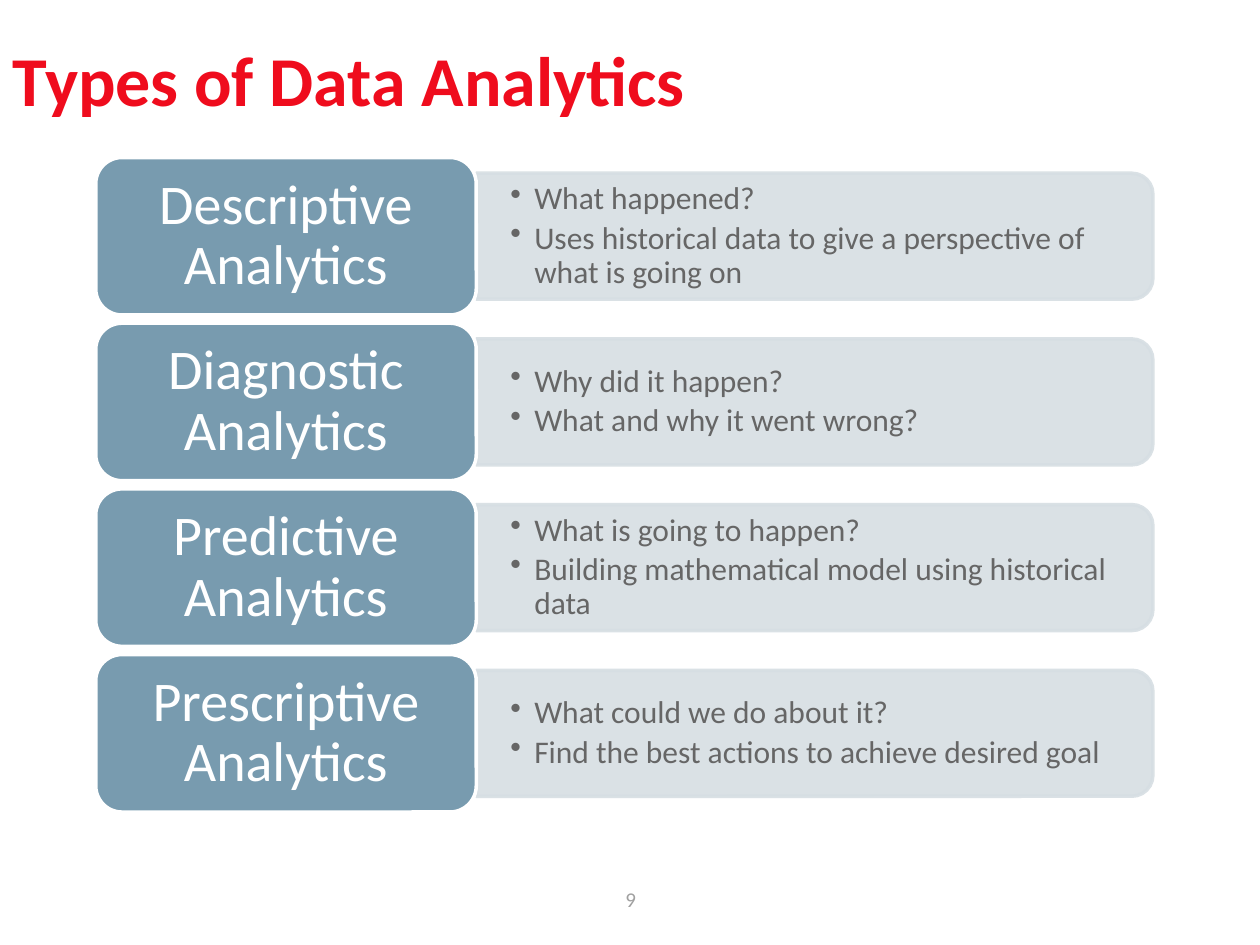
from lxml import etree
from pptx import Presentation, util as u
from pptx.dml.color import RGBColor
from pptx.enum import shapes, text
from pptx.oxml.ns import qn

TITLE = "Types of Data Analytics"
PAGE_NUMBER = "9"
ANALYTICS = [
    ("Descriptive Analytics",
     ["What happened?", "Uses historical data to give a perspective of what is going on"]),
    ("Diagnostic Analytics",
     ["Why did it happen?", "What and why it went wrong?"]),
    ("Predictive Analytics",
     ["What is going to happen?", "Building mathematical model using historical data"]),
    ("Prescriptive Analytics",
     ["What could we do about it?", "Find the best actions to achieve desired goal"]),
]
RED, GREY, DARK, WHITE = "EF0C1D", "A0A0A0", "666666", "FFFFFF"
BLUE, PALE = "789BAF", "D6DEE3"
LEFT, TOP, LABEL_WIDTH, ROW_HEIGHT, GAP = 0.76, 1.25, 3.02, 1.25, 0.065
PANEL_WIDTH, PANEL_HEIGHT = 5.37, 1.0
TEXT_WIDTH, TEXT_HEIGHT = 5.32, 0.9


def color(target, value):
    target.rgb = RGBColor.from_string(value)


def write(box, lines, size, value, align, insets=(0.1, 0.05), bold=False, spacing=None, after=0):
    frame = box.text_frame
    frame.word_wrap = True
    frame.vertical_anchor = text.MSO_ANCHOR.MIDDLE
    frame.margin_left = frame.margin_right = u.Inches(insets[0])
    frame.margin_top = frame.margin_bottom = u.Inches(insets[1])
    frame.text = "\n".join(lines)
    for para in frame.paragraphs:
        para.alignment = align
        para.line_spacing = spacing
        para.space_after = u.Pt(after)
        for span in para.runs:
            span.font.name, span.font.size, span.font.bold = "Calibri", u.Pt(size), bold
            color(span.font.color, value)


def add_bullets(box):
    for para in box.text_frame.paragraphs:
        props = para._p.get_or_add_pPr()
        props.set("marL", str(u.Inches(0.19)))
        props.set("indent", str(u.Inches(-0.19)))
        etree.SubElement(props, qn("a:buChar")).set("char", "•")


def add_block(page, kind, area, fill, line, opacity=None):
    block = page.shapes.add_shape(kind, *map(u.Inches, area))
    block.shadow.inherit = False
    block.fill.solid()
    color(block.fill.fore_color, fill)
    color(block.line.color, line)
    block.line.width = u.Pt(2)
    if opacity:
        for tint in block._element.spPr.iter(qn("a:srgbClr")):
            etree.SubElement(tint, qn("a:alpha")).set("val", str(opacity * 1000))
    return block


def add_row(page, top, label, answers):
    middle = top + ROW_HEIGHT / 2
    panel_left = LEFT + LABEL_WIDTH
    panel = add_block(
        page, shapes.MSO_SHAPE.ROUND_2_SAME_RECTANGLE,
        (panel_left + (PANEL_WIDTH - PANEL_HEIGHT) / 2, middle - PANEL_WIDTH / 2,
         PANEL_HEIGHT, PANEL_WIDTH), PALE, PALE, 90)
    panel.rotation = 90
    area = (panel_left, middle - TEXT_HEIGHT / 2, TEXT_WIDTH, TEXT_HEIGHT)
    box = page.shapes.add_textbox(*map(u.Inches, area))
    write(box, answers, 18, DARK, text.PP_ALIGN.LEFT, (0.27, 0.14), spacing=0.9, after=3)
    add_bullets(box)
    heading = add_block(page, shapes.MSO_SHAPE.ROUNDED_RECTANGLE,
                        (LEFT, top, LABEL_WIDTH, ROW_HEIGHT), BLUE, WHITE)
    write(heading, [label], 32, WHITE, text.PP_ALIGN.CENTER, (0.19, 0.13), spacing=0.9)


def main():
    """Build the slide on the types of data analytics."""
    deck = Presentation()
    deck.slide_width, deck.slide_height = u.Inches(10), u.Inches(7.5)
    page = deck.slides.add_slide(deck.slide_layouts[5])
    title = page.shapes.title
    title.left, title.top, title.width, title.height = map(u.Inches, (0, 0, 10, 1.25))
    write(title, [TITLE], 40, RED, text.PP_ALIGN.LEFT, bold=True)
    for index, (label, answers) in enumerate(ANALYTICS):
        add_row(page, TOP + index * (ROW_HEIGHT + GAP), label, answers)
    number = page.shapes.add_textbox(*map(u.Inches, (3.84, 6.94, 2.33, 0.4)))
    write(number, [PAGE_NUMBER], 12, GREY, text.PP_ALIGN.CENTER)
    deck.save("out.pptx")


if __name__ == "__main__":
    main()
